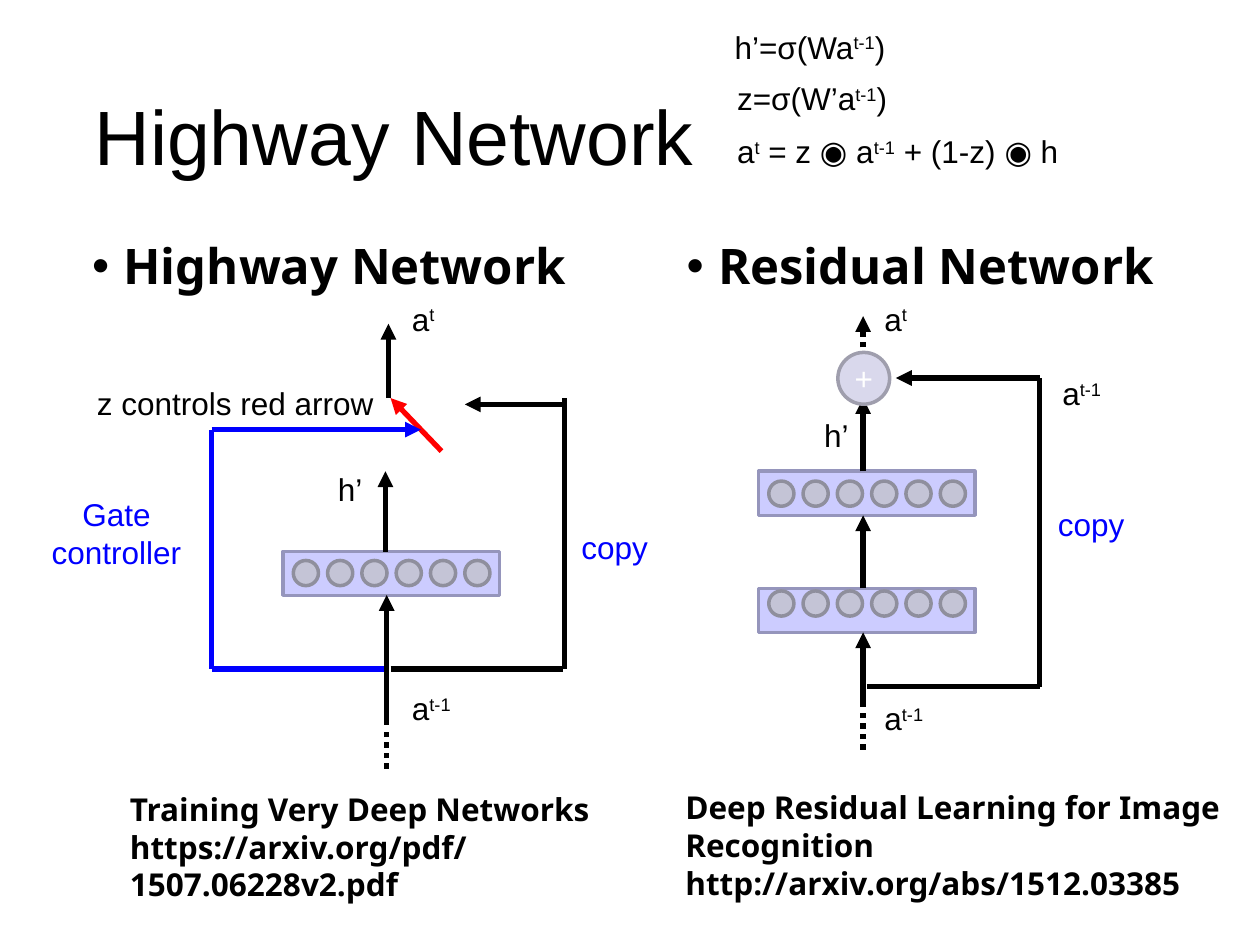
from pptx import Presentation
from pptx.dml.color import RGBColor
from pptx.enum.dml import MSO_LINE
from pptx.enum.shapes import MSO_CONNECTOR, MSO_SHAPE
from pptx.enum.text import MSO_ANCHOR, PP_ALIGN
from pptx.oxml.ns import qn
from pptx.util import Pt
from lxml import etree

BLACK = RGBColor(0x00, 0x00, 0x00)
WHITE = RGBColor(0xFF, 0xFF, 0xFF)
RED = RGBColor(0xFF, 0x00, 0x00)
BLUE = RGBColor(0x00, 0x00, 0xFF)
LAYER_FILL = RGBColor(0xCC, 0xCC, 0xFF)
LAYER_LINE = RGBColor(0x95, 0x95, 0xBC)
UNIT_FILL = RGBColor(0xC4, 0xC4, 0xD6)
UNIT_LINE = RGBColor(0x8F, 0x8F, 0x9D)
SUM_FILL = RGBColor(0xD9, 0xD8, 0xEC)
SUM_LINE = RGBColor(0x9F, 0x9E, 0xAD)
RECTANGLE, OVAL = MSO_SHAPE.RECTANGLE, MSO_SHAPE.OVAL
STRAIGHT, DOTTED = MSO_CONNECTOR.STRAIGHT, MSO_LINE.ROUND_DOT
LEFT, CENTER = PP_ALIGN.LEFT, PP_ALIGN.CENTER
TOP, MIDDLE = MSO_ANCHOR.TOP, MSO_ANCHOR.MIDDLE
SANS, HEAVY = "Arial", "Noto Sans"
TITLE_ONLY = 5


class Sketch:
    """Style and current slide; every length is in points."""
    inset = 3.6
    stroke = 3
    outline = 2
    unit_size, unit_pitch, unit_count = 14.4, 19.6, 6

    def __init__(self, page):
        self.page = page

    def fill_frame(self, box, lines, size=18, font=SANS, color=BLACK,
                   bold=False, align=LEFT, anchor=TOP, wrap=True,
                   spacing=None, bullet=False):
        """Write lines; text between ^ marks is superscript."""
        frame = box.text_frame
        frame.word_wrap = wrap
        frame.vertical_anchor = anchor
        frame.margin_left = frame.margin_right = Pt(self.inset)
        frame.margin_top = frame.margin_bottom = Pt(self.inset)
        for index, line in enumerate(lines):
            para = frame.add_paragraph() if index else frame.paragraphs[0]
            for part, words in enumerate(line.split("^")):
                if words:
                    span = para.add_run()
                    span.text = words
                    if part % 2:
                        span.font._element.set("baseline", "30000")
            if bullet:
                props = para._p.get_or_add_pPr()
                props.set("marL", str(Pt(18)))
                props.set("indent", str(Pt(-18)))
                etree.SubElement(props, qn("a:buFont")).set("typeface", "Arial")
                etree.SubElement(props, qn("a:buChar")).set("char", "•")
            para.alignment = align
            if spacing:
                para.line_spacing = spacing
            para.font.name = font
            para.font.size = Pt(size)
            para.font.bold = bold
            para.font.color.rgb = color

    def title(self, words, left, top, width, height):
        box = self.page.shapes.title
        box.left, box.top = Pt(left), Pt(top)
        box.width, box.height = Pt(width), Pt(height)
        self.fill_frame(box, [words], size=44, anchor=MIDDLE, spacing=0.9)

    def text(self, lines, left, top, width, height=27, **style):
        box = self.page.shapes.add_textbox(Pt(left), Pt(top), Pt(width), Pt(height))
        self.fill_frame(box, lines, **style)

    def shape(self, kind, left, top, width, height, fill, line):
        box = self.page.shapes.add_shape(kind, Pt(left), Pt(top), Pt(width), Pt(height))
        box.shadow.inherit = False
        box.fill.solid()
        box.fill.fore_color.rgb = fill
        box.line.color.rgb = line
        box.line.width = Pt(self.outline)
        return box

    def layer(self, left, top, unit_drop):
        """A network layer with its row of units."""
        self.shape(RECTANGLE, left, top, 123.6, 25.2, LAYER_FILL, LAYER_LINE)
        for index in range(self.unit_count):
            self.shape(OVAL, left + 5.8 + index * self.unit_pitch, top + unit_drop,
                       self.unit_size, self.unit_size, UNIT_FILL, UNIT_LINE)

    def line(self, start, end, color=BLACK, arrow=False, dotted=False):
        link = self.page.shapes.add_connector(
            STRAIGHT, *(Pt(value) for value in (*start, *end)))
        link.line.color.rgb = color
        link.line.width = Pt(self.stroke)
        if dotted:
            link.line.dash_style = DOTTED
        if arrow:
            stroke = link.line._get_or_add_ln()
            etree.SubElement(stroke, qn("a:tailEnd")).set("type", "triangle")
        etree.SubElement(link._element.spPr, qn("a:effectLst"))

    def route(self, points, color=BLACK, arrow=False):
        """Straight lines through the points, with an arrowhead at the last."""
        last = len(points) - 2
        for index, (start, end) in enumerate(zip(points, points[1:])):
            self.line(start, end, color, arrow and index == last)


def main():
    deck = Presentation()
    deck.slide_width, deck.slide_height = Pt(720), Pt(540)
    page = deck.slides.add_slide(deck.slide_layouts[TITLE_ONLY])
    sketch = Sketch(page)

    # Title, column headings and references
    sketch.title("Highway Network", 50.4, 52.6, 614, 55.4)
    for words, left in (("Residual Network", 388.8), ("Highway Network", 49)):
        sketch.text([words], left, 134.6, 298.8, 40, size=28, font=HEAVY,
                    bold=True, spacing=0.9, bullet=True)
    sketch.text(["Deep Residual Learning for Image Recognition",
                 "http://arxiv.org/abs/1512.03385"],
                388, 447, 318.2, 70.5, font=HEAVY, bold=True)
    sketch.text(["Training Very Deep Networks",
                 "https://arxiv.org/pdf/1507.06228v2.pdf"],
                70.6, 447.8, 288.7, 70, font=HEAVY, bold=True)

    # Residual network: layers, upward path, sum and copy path
    sketch.layer(433.5, 269.3, 5.6)
    sketch.layer(433.5, 336.2, 1.5)
    trunk = 493.2
    for bottom, top in ((336.2, 294.5), (403.9, 361.4), (269.3, 227.5)):
        sketch.line((trunk, bottom), (trunk, top), arrow=True)
    sketch.line((trunk, 428.4), (trunk, 404.6), dotted=True)
    sketch.line((trunk, 222.5), (trunk, 180.7), dotted=True, arrow=True)
    total = sketch.shape(OVAL, 478.8, 201.4, 29.6, 29.6, SUM_FILL, SUM_LINE)
    sketch.fill_frame(total, ["+"], color=WHITE, align=CENTER, anchor=MIDDLE,
                      wrap=False)
    sketch.route([(495.4, 392.4), (594, 392.4), (594, 216), (512, 216)], arrow=True)

    # Highway network: layer, red switch, copy path and gate path
    sketch.layer(161.8, 315, 5.3)
    sketch.line((252.3, 257.8), (223.2, 227.5), RED, arrow=True)
    sketch.line((222, 227.5), (222, 185), arrow=True)
    sketch.line((322.6, 231.1), (265.7, 231.1), arrow=True)
    sketch.line((322.6, 382.3), (322.6, 227.5))
    sketch.line((221, 414), (221, 340), arrow=True)
    sketch.line((221, 439.2), (221, 415.4), dotted=True)
    sketch.line((223.2, 382.3), (321.8, 382.3))
    sketch.route([(219.6, 382.3), (121, 382.3), (121, 245.5), (240.5, 245.5)],
                 BLUE, arrow=True)
    sketch.line((220.3, 315.4), (220.3, 269.3), arrow=True)

    # Blue labels
    for left, top in ((590.4, 285.1), (318.2, 298.1)):
        sketch.text(["copy"], left, top, 66.2, color=BLUE, align=CENTER)
    sketch.text(["Gate controller"], 13.7, 279.4, 105.8, 49, color=BLUE, align=CENTER)

    # Signal labels and formulas
    for words, left, top, width in (
            ("a^t-1^", 231.8, 390.2, 32.4),
            ("a^t-1^", 501.8, 396, 32.4),
            ("a^t^", 231.8, 167.8, 21.6),
            ("a^t^", 501.8, 167.8, 21.6),
            ("a^t-1^", 603.4, 210.2, 32.4),
            ("h’", 467.3, 234, 22.3),
            ("h’", 189.4, 265, 22.3),
            ("z controls red arrow", 51.8, 216, 166.3),
            ("h’=σ(Wa^t-1^)", 416.2, 12.2, 96.5),
            ("z=σ(W’a^t-1^)", 417.6, 41.8, 95.8),
            ("a^t^ = z ◉ a^t-1^ + (1-z) ◉ h", 417.6, 72, 198.7)):
        sketch.text([words], left, top, width, wrap=False)

    deck.save("out.pptx")


if __name__ == "__main__":
    main()
